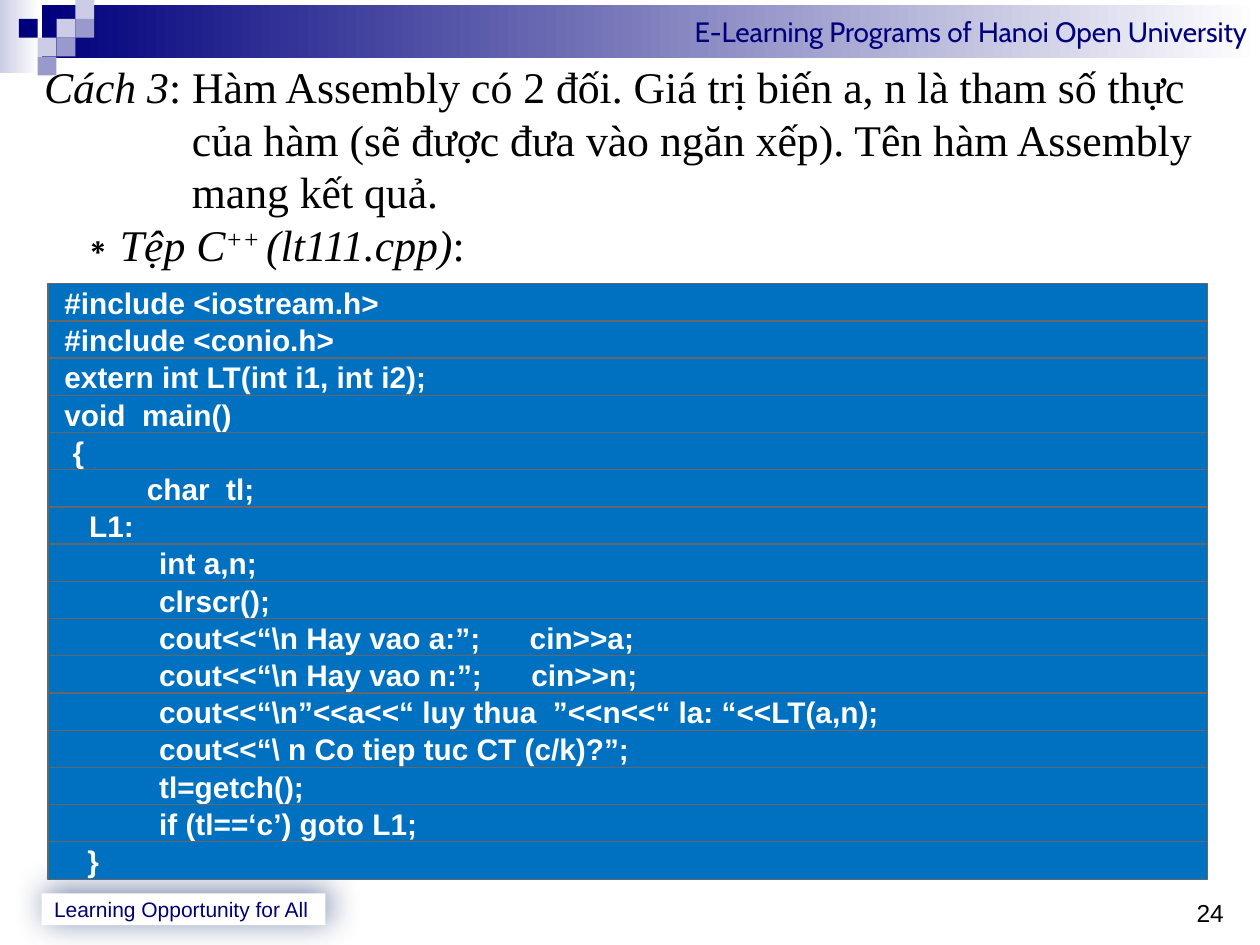
from lxml.etree import SubElement
from pptx import Presentation
from pptx.dml.color import RGBColor
from pptx.enum.shapes import MSO_SHAPE
from pptx.enum.text import MSO_ANCHOR, PP_ALIGN
from pptx.oxml import parse_xml
from pptx.oxml.ns import nsdecls, qn
from pptx.util import Cm, Pt

COLORS = {
    "navy": "00007D",
    "footer": "000072",
    "lilac": "CCCCE6",
    "violet": "9999CC",
    "white": "FFFFFF",
    "black": "000000",
    "code": "0070C0",
    "border": "666666",
    "shadow": "002060",
}

# Column, row and colour of each square in the corner mosaic
MOSAIC = [
    (3, 1, "lilac"), (4, 0, "lilac"), (4, 1, "violet"), (2, 2, "lilac"),
    (1, 1, "navy"), (3, 2, "violet"), (2, 3, "violet"),
]
SQUARE = 0.38

# Left margin of each code line in centimetres, and its text
MARGIN, LABEL, BODY = 0.33, 0.79, 2.24
CODE = [
    (MARGIN, "#include <iostream.h>"),
    (MARGIN, "#include <conio.h>"),
    (MARGIN, "extern int LT(int i1, int i2);"),
    (MARGIN, "void  main()"),
    (MARGIN, " {"),
    (MARGIN, "          char  tl;"),
    (MARGIN, "   L1:"),
    (BODY, "int a,n;"),
    (BODY, "clrscr();"),
    (BODY, r"cout<<“\n Hay vao a:”;      cin>>a;"),
    (BODY, r"cout<<“\n Hay vao n:”;      cin>>n;"),
    (BODY, r"cout<<“\n”<<a<<“ luy thua  ”<<n<<“ la: “<<LT(a,n);"),
    (BODY, r"cout<<“\ n Co tiep tuc CT (c/k)?”;"),
    (BODY, "tl=getch();"),
    (BODY, "if (tl==‘c’) goto L1;"),
    (LABEL, "}"),
]
ROW_STEP = 0.75


def color(name):
    return RGBColor.from_string(COLORS[name])


def add_box(page, left, top, width, height, fill=None, shape=MSO_SHAPE.RECTANGLE):
    box = page.shapes.add_shape(shape, Cm(left), Cm(top), Cm(width), Cm(height))
    box.shadow.inherit = False
    box.line.fill.background()
    if fill:
        box.fill.solid()
        box.fill.fore_color.rgb = color(fill)
    else:
        box.fill.background()
    return box


def add_gradient_box(page, left, top, width, height, start):
    """Add a box that fades from the start colour to white, left to right."""
    box = add_box(page, left, top, width, height)
    box.fill.gradient()
    box.fill.gradient_angle = 0
    for stop, name in zip(box.fill.gradient_stops, (start, "white")):
        stop.color.rgb = color(name)
    return box


def add_run(para, text, size, font, fill, bold=False, italic=False):
    span = para.add_run()
    span.text = text
    span.font.size = Pt(size)
    span.font.name = font
    span.font.color.rgb = color(fill)
    span.font.bold = bold
    span.font.italic = italic
    return span


def set_indent(para, left, first=0):
    properties = para._p.get_or_add_pPr()
    properties.set("marL", str(Cm(left)))
    properties.set("indent", str(Cm(first)))


def set_bullet(para, mark):
    properties = para._p.get_or_add_pPr()
    SubElement(properties, qn("a:buFont")).set("typeface", "Times New Roman")
    SubElement(properties, qn("a:buChar")).set("char", mark)


def add_header(page):
    add_gradient_box(page, 0, 0, 0.79, 1.47, "lilac")
    banner = add_gradient_box(page, 0.84, 0.1, 24.56, 1.07, "navy")
    para = banner.text_frame.paragraphs[0]
    para.alignment = PP_ALIGN.RIGHT
    add_run(para, "E-Learning Programs of Hanoi Open University", 16, "Cabin", "navy")
    for column, row, fill in MOSAIC:
        add_box(page, column * SQUARE, row * SQUARE, SQUARE, SQUARE, fill)


def add_footer(page):
    box = add_box(page, 0.84, 18.01, 5.72, 0.64, "white")
    effects = box._element.spPr.find(qn("a:effectLst"))
    effects.append(parse_xml(
        f'<a:outerShdw {nsdecls("a")} blurRad="241300" dist="38100" dir="18900000">'
        f'<a:srgbClr val="{COLORS["shadow"]}"><a:alpha val="56000"/></a:srgbClr>'
        '</a:outerShdw>'))
    para = box.text_frame.paragraphs[0]
    para.alignment = PP_ALIGN.LEFT
    add_run(para, "Learning Opportunity for All", 12, "Arial", "footer")


def add_page_number(page):
    box = add_box(page, 23.65, 17.86, 1.52, 0.86, shape=MSO_SHAPE.OVAL)
    frame = box.text_frame
    frame.margin_right = 0
    frame.vertical_anchor = MSO_ANCHOR.TOP
    frame.paragraphs[0].alignment = PP_ALIGN.LEFT
    add_run(frame.paragraphs[0], "24", 14, "Arial", "black")


def add_explanation(page):
    box = page.shapes.add_textbox(Cm(0.64), Cm(1.09), Cm(24.43), Cm(4.5))
    frame = box.text_frame
    frame.word_wrap = True
    lines = [
        [("Cách 3", True),
         (": Hàm Assembly có 2 đối. Giá trị biến a, n là tham số thực", False)],
        [("của hàm (sẽ được đưa vào ngăn xếp). Tên hàm Assembly", False)],
        [("mang kết quả.", False)],
        [("Tệp C", True), ("++ ", True), ("(lt111.cpp)", True), (":", False)],
    ]
    indents = [(0, 0), (2.98, 0), (2.98, 0), (1.45, -0.8)]
    for number, (spans, indent) in enumerate(zip(lines, indents)):
        para = frame.add_paragraph() if number else frame.paragraphs[0]
        para.alignment = PP_ALIGN.JUSTIFY
        para.line_spacing = Pt(30)
        set_indent(para, *indent)
        if indent[1]:
            set_bullet(para, "∗")
        for text, italic in spans:
            span = add_run(para, text, 25, "Times New Roman", "black", italic=italic)
            if text == "++ ":
                span._r.get_or_add_rPr().set("baseline", "30000")


def add_code_row(page, top, indent, text):
    box = add_box(page, 0.97, top, 23.37, 0.76, "code")
    box.line.color.rgb = color("border")
    box.line.width = Pt(0.75)
    frame = box.text_frame
    frame.margin_left = frame.margin_right = 0
    frame.margin_top = frame.margin_bottom = 0
    para = frame.paragraphs[0]
    para.alignment = PP_ALIGN.LEFT
    set_indent(para, indent)
    add_run(para, text, 17, "Arial", "white", bold=True)


def main():
    deck = Presentation()
    deck.slide_width, deck.slide_height = Cm(25.4), Cm(19.05)
    page = deck.slides.add_slide(deck.slide_layouts[6])
    add_header(page)
    add_footer(page)
    add_explanation(page)
    add_page_number(page)
    for number, (indent, text) in enumerate(CODE):
        add_code_row(page, 5.72 + number * ROW_STEP, indent, text)
    deck.save("out.pptx")


if __name__ == "__main__":
    main()
